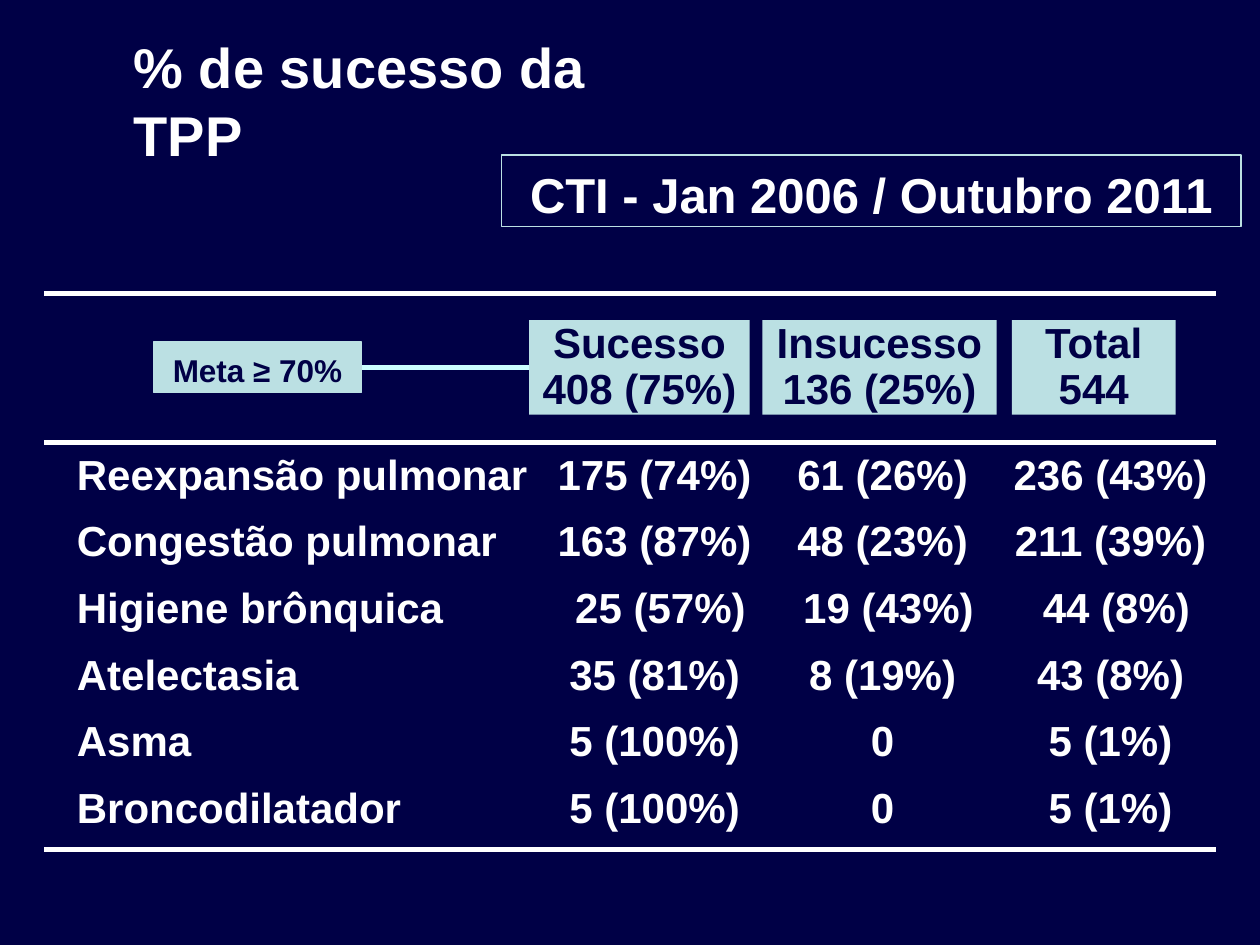
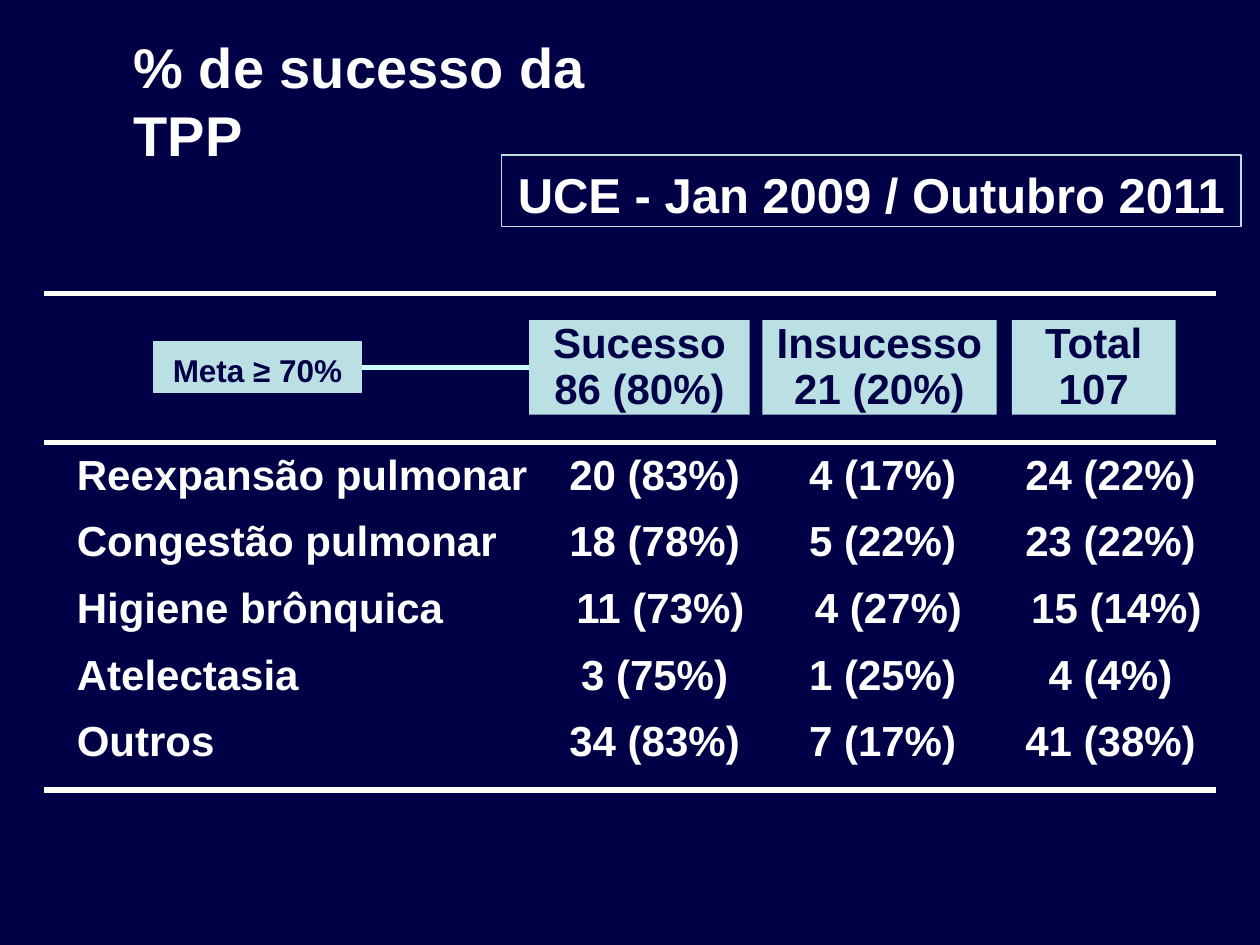
import pptx
import pptx.util
import pptx.dml.color
import pptx.enum.shapes
import pptx.enum.text
import pptx.oxml
import pptx.oxml.ns

Pt = pptx.util.Pt
ALIGN = pptx.enum.text.PP_ALIGN
MIDDLE = pptx.enum.text.MSO_ANCHOR.MIDDLE

TITLE = "% de sucesso da TPP"
GOAL = "Meta ≥ 70%"
HEADINGS = ["Sucesso", "Insucesso", "Total"]
UNITS = [
    {
        "period": "CTI - Jan 2006 / Outubro 2011",
        "totals": ["408 (75%)", "136 (25%)", "544"],
        "rows": [
            ("Reexpansão pulmonar", "175 (74%)", "61 (26%)", "236 (43%)"),
            ("Congestão pulmonar", "163 (87%)", "48 (23%)", "211 (39%)"),
            ("Higiene brônquica", "25 (57%)", "19 (43%)", "44 (8%)"),
            ("Atelectasia", "35 (81%)", "8 (19%)", "43 (8%)"),
            ("Asma", "5 (100%)", "0", "5 (1%)"),
            ("Broncodilatador", "5 (100%)", "0", "5 (1%)"),
        ],
        "bottom_rule": 485.3,
    },
    {
        "period": "UCE - Jan 2009 / Outubro 2011",
        "totals": ["86 (80%)", "21 (20%)", "107"],
        "rows": [
            ("Reexpansão pulmonar", "20 (83%)", "4 (17%)", "24 (22%)"),
            ("Congestão pulmonar", "18 (78%)", "5 (22%)", "23 (22%)"),
            ("Higiene brônquica", "11 (73%)", "4 (27%)", "15 (14%)"),
            ("Atelectasia", "3 (75%)", "1 (25%)", "4 (4%)"),
            ("Outros", "34 (83%)", "7 (17%)", "41 (38%)"),
        ],
        "bottom_rule": 451.4,
    },
]

NAVY, WHITE, PALE, ICE = "000046", "FFFFFF", "BBE0E3", "CCFFFF"
FONT = "Arial"
RULE_LEFT, RULE_RIGHT = 25.2, 694.8
HEADER_RULE, BODY_RULE = 167.8, 252.7
HEADER_TOP, HEADER_H = 182.9, 54
HEADER_SPANS = [(302.4, 126), (435.6, 133.9), (578.2, 93.6)]
GOAL_LEFT, GOAL_W, GOAL_H = 87.8, 118.8, 28.8
TABLE_LEFT, LABEL_W, VALUE_W, ROW_H = 36.7, 272.2, 130.3, 38.1
INDENTED_ROW, INDENT = "Higiene brônquica", 6.7
NO_GRID_STYLE = "{2D5ABB26-0587-4C30-8999-92F81FD0307C}"


def rgb(color):
    return pptx.dml.color.RGBColor.from_string(color)


def style(tf, size, color, align=ALIGN.CENTER, line=None):
    for p in tf.paragraphs:
        p.alignment = align
        p.line_spacing = Pt(line) if line else None
        for r in p.runs:
            r.font.name = FONT
            r.font.size = Pt(size)
            r.font.bold = True
            r.font.color.rgb = rgb(color)


def add_box(s, text, left, top, width, height, size, color, fill=None, border=None, drop=0, line=None):
    sp = s.shapes.add_shape(
        pptx.enum.shapes.MSO_SHAPE.RECTANGLE, Pt(left), Pt(top), Pt(width), Pt(height))
    sp.shadow.inherit = False
    if fill:
        sp.fill.solid()
        sp.fill.fore_color.rgb = rgb(fill)
    else:
        sp.fill.background()
    if border:
        sp.line.color.rgb = rgb(border)
        sp.line.width = Pt(0.75)
    else:
        sp.line.fill.background()
    tf = sp.text_frame
    tf.text = text
    tf.word_wrap = True
    tf.vertical_anchor = MIDDLE
    tf.margin_left = tf.margin_right = Pt(5)
    tf.margin_top, tf.margin_bottom = Pt(drop), 0
    style(tf, size, color, line=line)
    return sp


def add_line(s, x1, y1, x2, y2, color):
    c = s.shapes.add_connector(
        pptx.enum.shapes.MSO_CONNECTOR.STRAIGHT, Pt(x1), Pt(y1), Pt(x2), Pt(y2))
    c.line.color.rgb = rgb(color)
    c.line.width = Pt(3)
    c.element.spPr.append(pptx.oxml.parse_xml(
        "<a:effectLst %s/>" % pptx.oxml.ns.nsdecls("a")))
    return c


def add_title(s):
    sp = s.shapes.title
    sp.left, sp.top, sp.width, sp.height = Pt(69.1), Pt(31.7), Pt(343.4), Pt(46.1)
    tf = sp.text_frame
    tf.text = TITLE
    tf.word_wrap = False
    tf.auto_size = pptx.enum.text.MSO_AUTO_SIZE.NONE
    tf.vertical_anchor = MIDDLE
    tf.margin_top, tf.margin_bottom = Pt(5), 0
    style(tf, 32, WHITE, ALIGN.LEFT)


def add_headers(s, totals):
    boxes = [
        add_box(s, f"{heading}\n{total}", left, HEADER_TOP, width, HEADER_H,
                24, NAVY, PALE, line=26.3)
        for heading, total, (left, width) in zip(HEADINGS, totals, HEADER_SPANS)
    ]
    middle = HEADER_TOP + HEADER_H / 2
    goal = add_box(s, GOAL, GOAL_LEFT, middle - GOAL_H / 2, GOAL_W, GOAL_H,
                   18, NAVY, PALE, PALE, drop=3)
    link = add_line(s, GOAL_LEFT + GOAL_W, middle, HEADER_SPANS[0][0], middle, ICE)
    link.begin_connect(goal, 3)
    link.end_connect(boxes[0], 1)


def add_results(s, rows):
    widths = [LABEL_W] + [VALUE_W] * len(HEADINGS)
    frame = s.shapes.add_table(
        len(rows), len(widths), Pt(TABLE_LEFT), Pt(BODY_RULE),
        Pt(sum(widths)), Pt(ROW_H * len(rows)))
    table = frame.table
    table.first_row = table.horz_banding = False
    for node in frame.element.iter(pptx.oxml.ns.qn("a:tableStyleId")):
        node.text = NO_GRID_STYLE
    for column, width in zip(table.columns, widths):
        column.width = Pt(width)
    for i, row in enumerate(rows):
        table.rows[i].height = Pt(ROW_H)
        for j, text in enumerate(row):
            cell = table.cell(i, j)
            cell.text = text
            cell.fill.background()
            cell.vertical_anchor = MIDDLE
            indent = INDENT if j and row[0] == INDENTED_ROW else 0
            cell.margin_left = Pt(7.2 + indent)
            cell.margin_right = Pt(7.2 if j else 0)
            style(cell.text_frame, 24, WHITE, ALIGN.CENTER if j else ALIGN.LEFT)


def main():
    prs = pptx.Presentation()
    prs.slide_width, prs.slide_height = Pt(720), Pt(540)
    background = prs.slide_master.background.fill
    background.solid()
    background.fore_color.rgb = rgb(NAVY)
    for unit in UNITS:
        s = prs.slides.add_slide(prs.slide_layouts[5])
        add_title(s)
        add_box(s, unit["period"], 286.6, 88.6, 422.6, 41, 28, WHITE, border=PALE, drop=3)
        for y in (HEADER_RULE, BODY_RULE, unit["bottom_rule"]):
            add_line(s, RULE_LEFT, y, RULE_RIGHT, y, WHITE)
        add_headers(s, unit["totals"])
        add_results(s, unit["rows"])
    prs.save("out.pptx")


if __name__ == "__main__":
    main()
